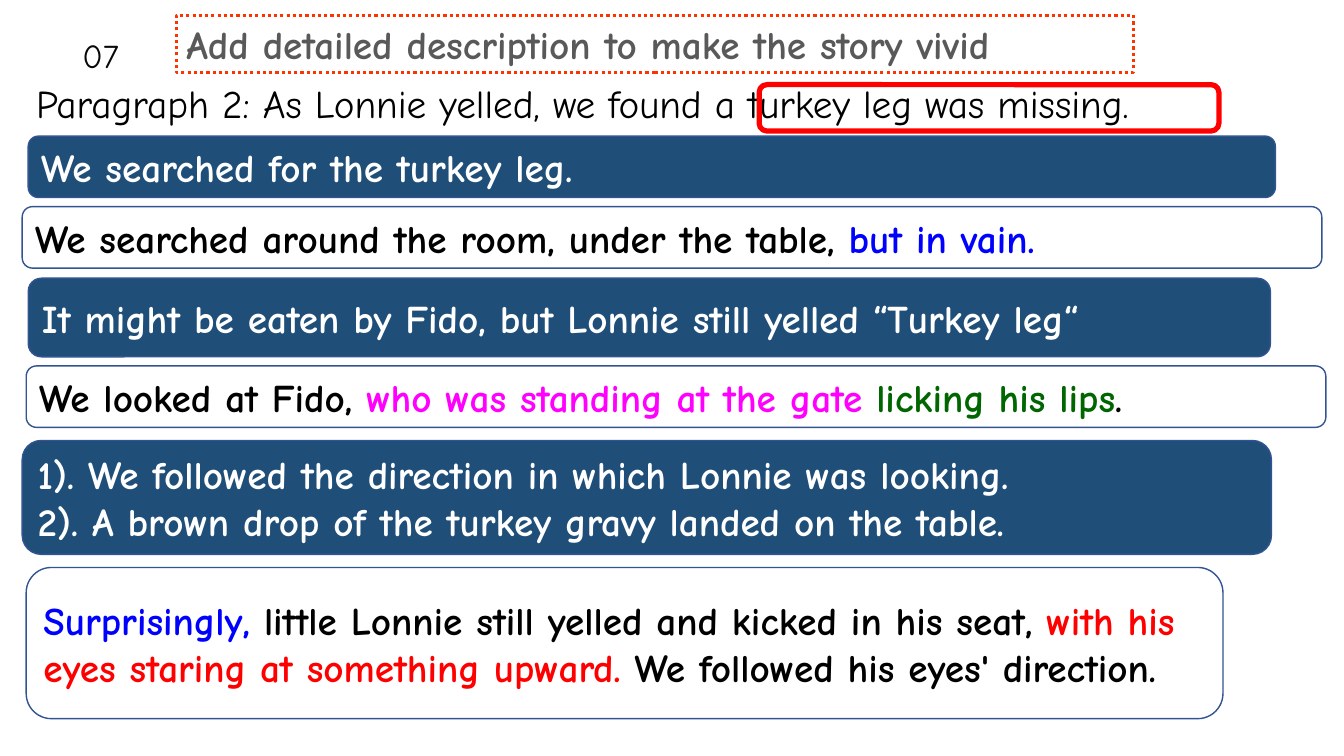
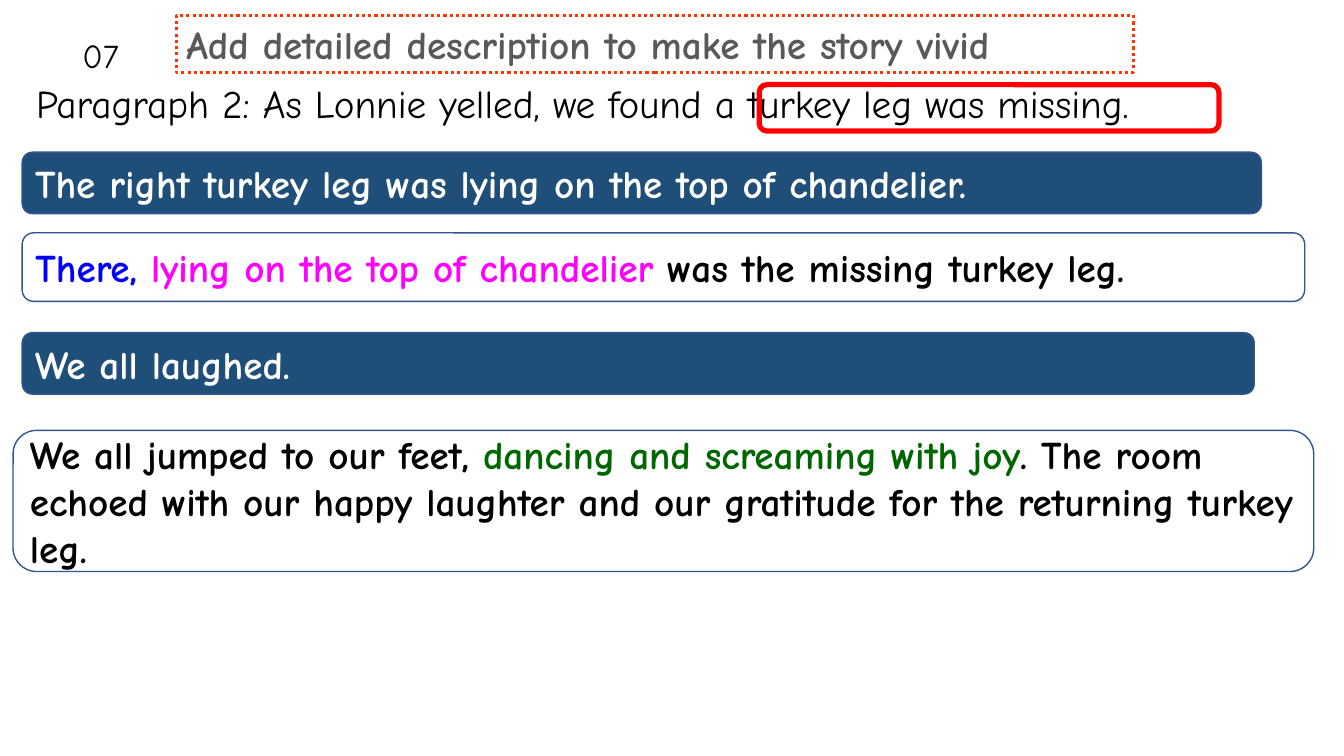
from dataclasses import dataclass

from pptx import Presentation
from pptx.dml.color import RGBColor
from pptx.enum.dml import MSO_LINE
from pptx.enum.shapes import MSO_SHAPE as Preset
from pptx.enum.text import MSO_ANCHOR as Anchor, MSO_AUTO_SIZE as AutoSize, PP_ALIGN as Align
from pptx.util import Pt

PX = 9144  # EMU in one px, 100 px to the inch


@dataclass(frozen=True)
class Theme:
    font: str = "Comic Neue"
    body_size: int = 28
    number_size: int = 24
    black: str = "000000"
    number: str = "080808"
    white: str = "FFFFFF"
    heading: str = "595959"
    heading_line: str = "FF3300"
    navy: str = "1F4E79"
    card_line: str = "325491"
    blue: str = "0000FF"
    magenta: str = "FF00FF"
    green: str = "006600"
    red: str = "FF0000"


THEME = Theme()


def emu(box):
    return [length * PX for length in box]


def write(shape, paragraphs, color, size=THEME.body_size, bold=False,
          align=Align.LEFT, anchor=Anchor.TOP):
    """Fill a shape with paragraphs, each a list of (text, accent or None)."""
    frame = shape.text_frame
    frame.word_wrap = True
    frame.vertical_anchor = anchor
    for index, pieces in enumerate(paragraphs):
        paragraph = frame.add_paragraph() if index else frame.paragraphs[0]
        paragraph.alignment = align
        font = paragraph.font
        font.name, font.size, font.bold = THEME.font, Pt(size), bold
        font.color.rgb = RGBColor.from_string(color)
        for text, accent in pieces:
            run = paragraph.add_run()
            run.text = text
            if accent:
                run.font.color.rgb = RGBColor.from_string(accent)


def outlined(slide, preset, box, line, width, fill=None):
    shape = slide.shapes.add_shape(preset, *emu(box))
    shape.shadow.inherit = False
    if fill:
        shape.fill.solid()
        shape.fill.fore_color.rgb = RGBColor.from_string(fill)
    else:
        shape.fill.background()
    shape.line.color.rgb = RGBColor.from_string(line)
    shape.line.width = Pt(width)
    return shape


def add_header(slide, box):
    """Section number, dotted heading, and opening sentence with its red frame."""
    left, top, width, height = box

    opening = slide.shapes.add_textbox(*emu((left, top + 59, width, height - 59)))
    write(opening, [[("Paragraph 2: As Lonnie yelled, we found a turkey leg was missing.", None)]],
          THEME.black)
    outlined(slide, Preset.ROUNDED_RECTANGLE, (left + 727, top + 69, 456, 46), THEME.red, 3.75)

    number = slide.shapes.add_textbox(*emu((left + 46, top + 15, 96, 50)))
    write(number, [[("07", None)]], THEME.number, THEME.number_size)
    number.text_frame.auto_size = AutoSize.SHAPE_TO_FIT_TEXT

    heading = outlined(slide, Preset.RECTANGLE, (left + 149, top, 949, 57),
                       THEME.heading_line, 2.25)
    heading.line.dash_style = MSO_LINE.ROUND_DOT
    write(heading, [[("Add detailed description to make the story vivid", None)]],
          THEME.heading, bold=True, align=Align.JUSTIFY)
    heading.text_frame.auto_size = AutoSize.SHAPE_TO_FIT_TEXT


def add_card(slide, box, paragraphs, fill, color):
    card = outlined(slide, Preset.FLOWCHART_ALTERNATE_PROCESS, box, THEME.card_line, 1, fill)
    write(card, paragraphs, color, bold=True, anchor=Anchor.MIDDLE)


def add_lesson(prs, pairs):
    """One slide: the header, then pairs of plain sentence and vivid rewrite."""
    slide = prs.slides.add_slide(prs.slide_layouts[6])
    add_header(slide, (26, 15, 1293, 122))
    for plain_box, plain_lines, vivid_box, vivid_pieces in pairs:
        add_card(slide, plain_box, [[(line, None)] for line in plain_lines],
                 THEME.navy, THEME.white)
        add_card(slide, vivid_box, [vivid_pieces], None, THEME.black)


SEARCH = [
    ((28, 135, 1237, 61), ["We searched for the turkey leg."],
     (22, 205, 1289, 61), [("We searched around the room, under the table, ", None),
                           ("but in vain.", THEME.blue)]),
    ((28, 276, 1232, 78), ["It might be eaten by Fido, but Lonnie still yelled “Turkey leg“"],
     (26, 363, 1289, 61), [("We looked at Fido, ", None),
                           ("who was standing at the gate ", THEME.magenta),
                           ("licking his lips", THEME.green),
                           (".", None)]),
    ((22, 437, 1239, 113), ["1). We followed the direction in which Lonnie was looking.",
                            "2). A brown drop of the turkey gravy landed on the table."],
     (26, 563, 1187, 150), [("Surprisingly,", THEME.blue),
                            (" little Lonnie still yelled and kicked in his seat, ", None),
                            ("with his eyes staring at something upward.", THEME.red),
                            (" We followed his eyes' direction.", None)]),
]

DISCOVERY = [
    ((22, 151, 1229, 61), ["The right turkey leg was lying on the top of chandelier."],
     (22, 231, 1272, 68), [("There, ", THEME.blue),
                           ("lying on the top of chandelier", THEME.magenta),
                           (" was the missing turkey leg.", None)]),
    ((22, 330, 1222, 61), ["We all laughed."],
     (13, 427, 1290, 140), [("We all jumped to our feet, ", None),
                            ("dancing and screaming with joy", THEME.green),
                            (". The room echoed with our happy laughter and our gratitude "
                             "for the returning turkey leg.", None)]),
]


def main():
    prs = Presentation()
    prs.slide_width, prs.slide_height = emu((1333, 750))
    for pairs in (SEARCH, DISCOVERY):
        add_lesson(prs, pairs)
    prs.save("out.pptx")


if __name__ == "__main__":
    main()
